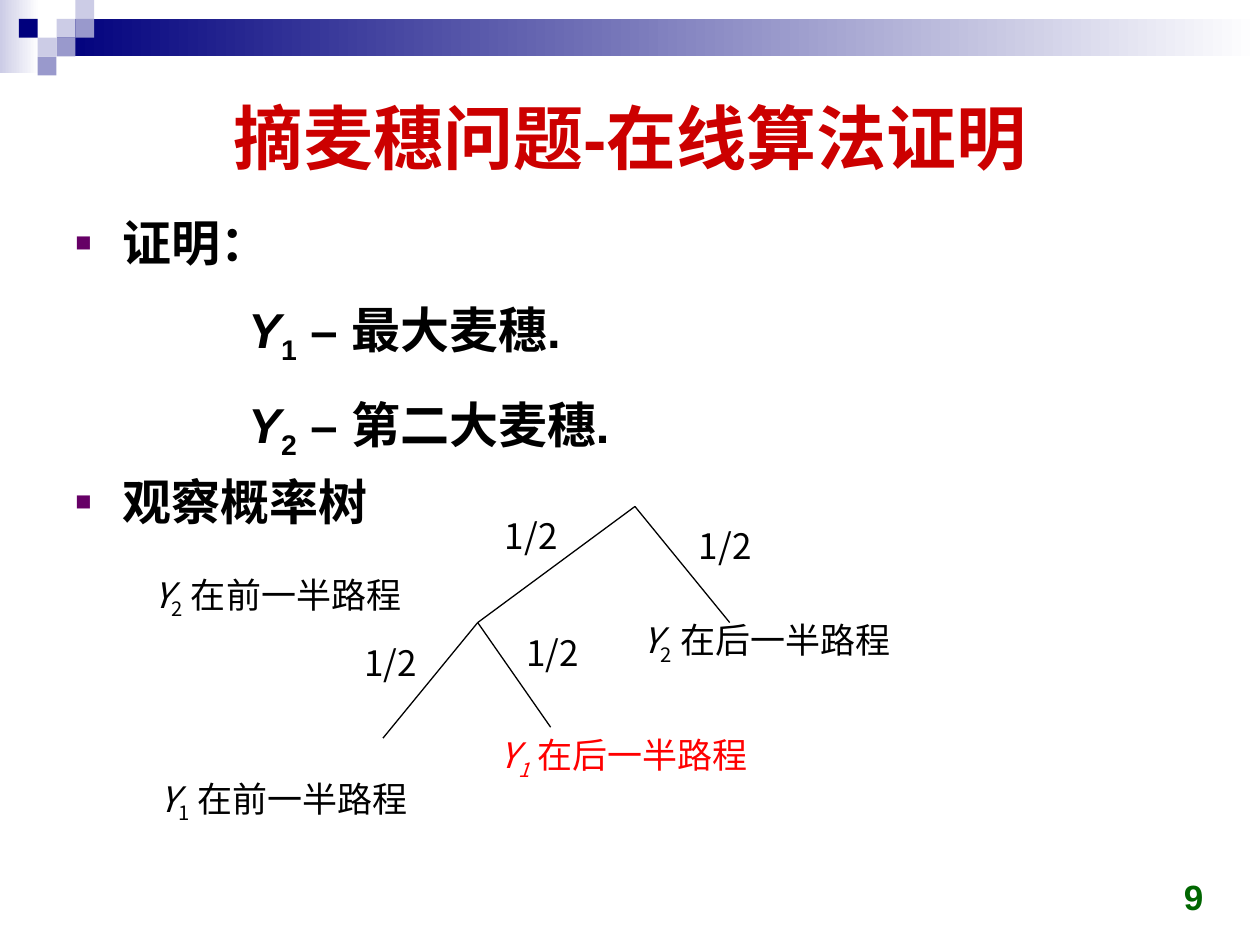
import pptx
import pptx.dml.color
import pptx.enum.shapes
import pptx.enum.text
import pptx.util
from lxml import etree
from pptx.oxml.ns import qn
from pptx.util import Cm, Pt

COLORS = {
    "navy": "00007D", "lavender": "CCCCE6", "periwinkle": "9999CC",
    "white": "FFFFFF", "black": "000000", "title": "CC0000",
    "highlight": "FF0000", "bullet": "660066", "number": "006600",
}
SANS, CJK = "Arial", "Noto Sans CJK SC"
ALIGN = pptx.enum.text.PP_ALIGN
ANCHOR = pptx.enum.text.MSO_ANCHOR
CELL = 0.38
# (column, row, colour) of each square in the corner mosaic
MOSAIC = [
    (3, 1, "lavender"), (4, 0, "lavender"), (4, 1, "periwinkle"),
    (2, 2, "lavender"), (1, 1, "navy"), (3, 2, "periwinkle"),
    (2, 3, "periwinkle"),
]
TREE = {
    "root": (12.8, 10.21), "early": (9.63, 12.55), "late": (14.71, 12.55),
    "both early": (7.72, 14.88), "split": (11.1, 14.66),
}
BRANCHES = [("root", "early"), ("root", "late"),
            ("early", "split"), ("early", "both early")]
HALVES = [(13.84, 10.44, 2.67), (10.36, 12.6, 2.34),
          (7.09, 12.8, 1.9), (9.93, 10.24, 2.67)]
# (left, top, width, index of Y, wording, colour)
OUTCOMES = [
    (12.7, 12.34, 7.95, "2", "在后一半路程", "black"),
    (9.83, 14.66, 7.95, "1", "在后一半路程", "highlight"),
    (2.97, 15.54, 6.65, "1", "在前一半路程", "black"),
    (2.84, 11.43, 7.95, "2", "在前一半路程", "black"),
]


def rgb(name):
    return pptx.dml.color.RGBColor.from_string(COLORS[name])


def apply_format(target, values):
    for name, value in values.items():
        setattr(target, name, value)


def add_block(slide, left, top, width, height, start, end=None):
    """Add a borderless rectangle, with a gradient when end is given."""
    shape = slide.shapes.add_shape(
        pptx.enum.shapes.MSO_SHAPE.RECTANGLE,
        Cm(left), Cm(top), Cm(width), Cm(height))
    shape.shadow.inherit = False
    shape.line.fill.background()
    if end is None:
        shape.fill.solid()
        shape.fill.fore_color.rgb = rgb(start)
        return
    shape.fill.gradient()
    shape.fill.gradient_angle = 0
    for stop, color in zip(shape.fill.gradient_stops, (start, end)):
        stop.color.rgb = rgb(color)


def add_frame(slide, left, top, width, height, **values):
    box = slide.shapes.add_textbox(Cm(left), Cm(top), Cm(width), Cm(height))
    apply_format(box.text_frame, {"word_wrap": True, **values})
    return box.text_frame


def add_run(paragraph, text, font, size, color,
            bold=False, italic=False, baseline=None):
    run = paragraph.add_run()
    run.text = text
    apply_format(run.font, {"name": font, "size": Pt(size),
                            "bold": bold, "italic": italic})
    run.font.color.rgb = rgb(color)
    properties = run.font._element
    etree.SubElement(properties, qn("a:ea"), typeface=font)
    if baseline is not None:
        properties.set("baseline", str(baseline))


def add_indexed(paragraph, index, text, *style, bold=False,
                italic_index=False):
    """Write Y with a lowered index, followed by text."""
    add_run(paragraph, "Y", *style, bold=bold, italic=True)
    add_run(paragraph, index, *style, bold=bold,
            italic=italic_index, baseline=-25000)
    add_run(paragraph, " " + text, *style, bold=bold)


def set_indent(paragraph, left, first):
    properties = paragraph._p.get_or_add_pPr()
    properties.set("marL", str(Cm(left)))
    properties.set("indent", str(Cm(first)))


def add_bullet(paragraph):
    properties = paragraph._p.get_or_add_pPr()
    color = etree.SubElement(properties, qn("a:buClr"))
    etree.SubElement(color, qn("a:srgbClr"), val=COLORS["bullet"])
    etree.SubElement(properties, qn("a:buSzPct"), val="55000")
    etree.SubElement(properties, qn("a:buFont"), typeface=SANS)
    etree.SubElement(properties, qn("a:buChar"), char="■")


def add_body(slide):
    frame = add_frame(slide, 1.27, 4.11, 22.86, 13.21)
    style = (SANS, 28, "black")
    lines = [(None, "证明："), ("1", "– 最大麦穗."),
             ("2", "– 第二大麦穗."), (None, "观察概率树")]
    for position, (index, text) in enumerate(lines):
        paragraph = frame.add_paragraph() if position else frame.paragraphs[0]
        paragraph.line_spacing = 1.05
        if position:
            paragraph.space_before = Pt(14 if index else 4.2)
        if index:
            set_indent(paragraph, 3.49, 0)
            add_indexed(paragraph, index, text, *style, bold=True)
        else:
            set_indent(paragraph, 0.95, -0.95)
            add_bullet(paragraph)
            add_run(paragraph, text, *style, bold=True)


def add_branch(slide, start, end):
    points = [Cm(value) for value in TREE[start] + TREE[end]]
    line = slide.shapes.add_connector(
        pptx.enum.shapes.MSO_CONNECTOR.STRAIGHT, *points)
    line.line.width = Pt(0.75)
    line.line.color.rgb = rgb("black")
    etree.SubElement(line._element.spPr, qn("a:effectLst"))


def add_label(slide, left, top, width):
    """Add an empty tree label and return its paragraph."""
    frame = add_frame(
        slide, left, top, width, 1.12,
        auto_size=pptx.enum.text.MSO_AUTO_SIZE.SHAPE_TO_FIT_TEXT)
    return frame.paragraphs[0]


def add_tree(slide):
    for start, end in BRANCHES:
        add_branch(slide, start, end)
    for place in HALVES:
        add_run(add_label(slide, *place), "1/2", CJK, 20, "black")
    for left, top, width, index, text, color in OUTCOMES:
        add_indexed(add_label(slide, left, top, width), index, text,
                    CJK, 20, color, italic_index=color == "highlight")


def add_heading(slide, place, anchor, alignment, text, size, color):
    frame = add_frame(slide, *place, vertical_anchor=anchor)
    paragraph = frame.paragraphs[0]
    paragraph.alignment = alignment
    add_run(paragraph, text, SANS, size, color, bold=True)


def main():
    presentation = pptx.Presentation()
    apply_format(presentation, {"slide_width": Cm(25.4),
                                "slide_height": Cm(19.05)})
    slide = presentation.slides.add_slide(presentation.slide_layouts[6])

    add_block(slide, 0, 0, 0.79, 1.47, "lavender", "white")
    add_block(slide, 3 * CELL, CELL, 24.26, 2 * CELL, "navy", "white")
    for column, row, color in MOSAIC:
        add_block(slide, column * CELL, row * CELL, CELL, CELL, color)

    add_heading(slide, (1.27, 1.27, 22.86, 2.95), ANCHOR.MIDDLE,
                ALIGN.CENTER, "摘麦穗问题-在线算法证明", 40, "title")
    add_body(slide)
    add_tree(slide)
    add_heading(slide, (18.59, 17.35, 5.92, 1.27), ANCHOR.BOTTOM,
                ALIGN.RIGHT, "9", 20, "number")
    presentation.save("out.pptx")


if __name__ == "__main__":
    main()
